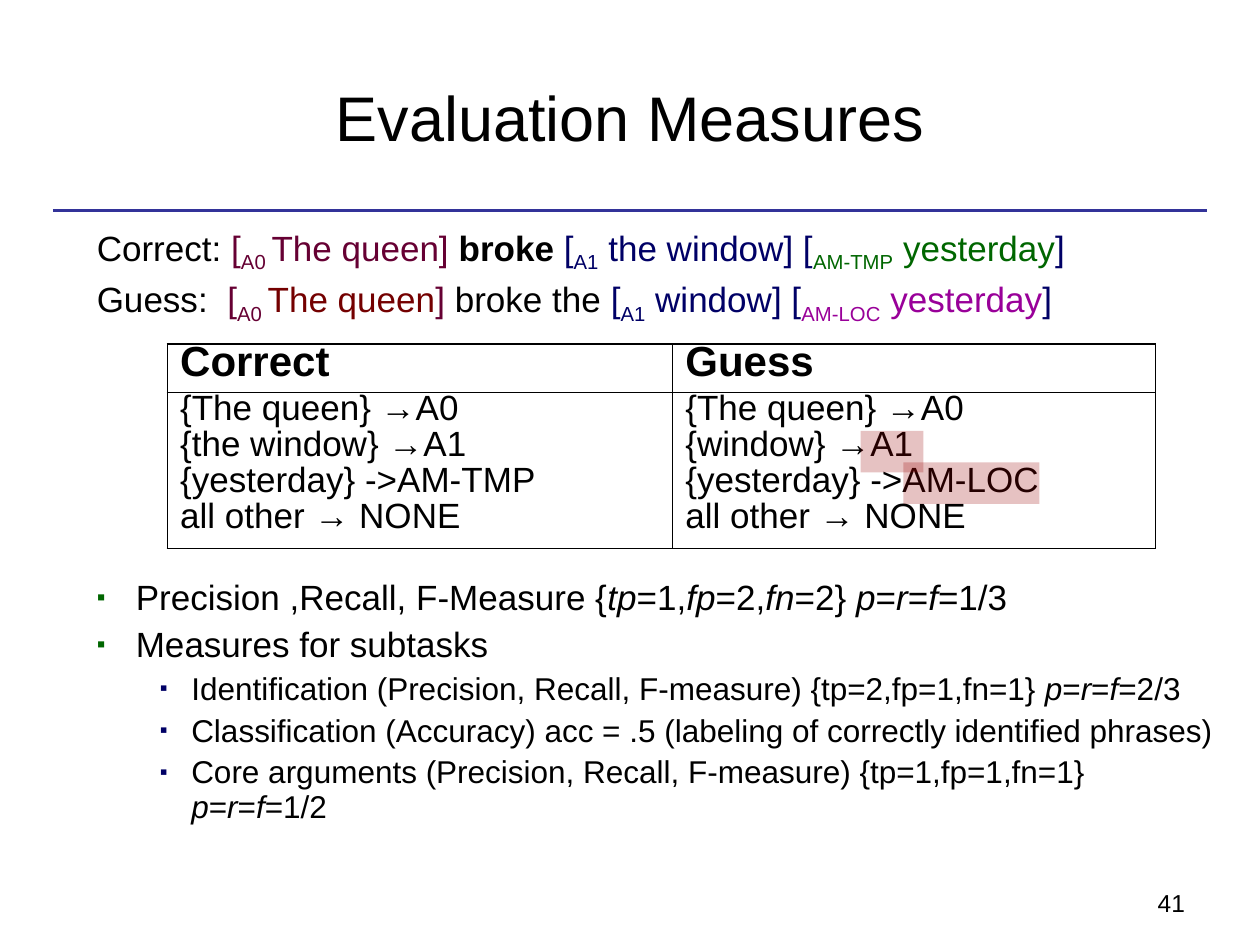
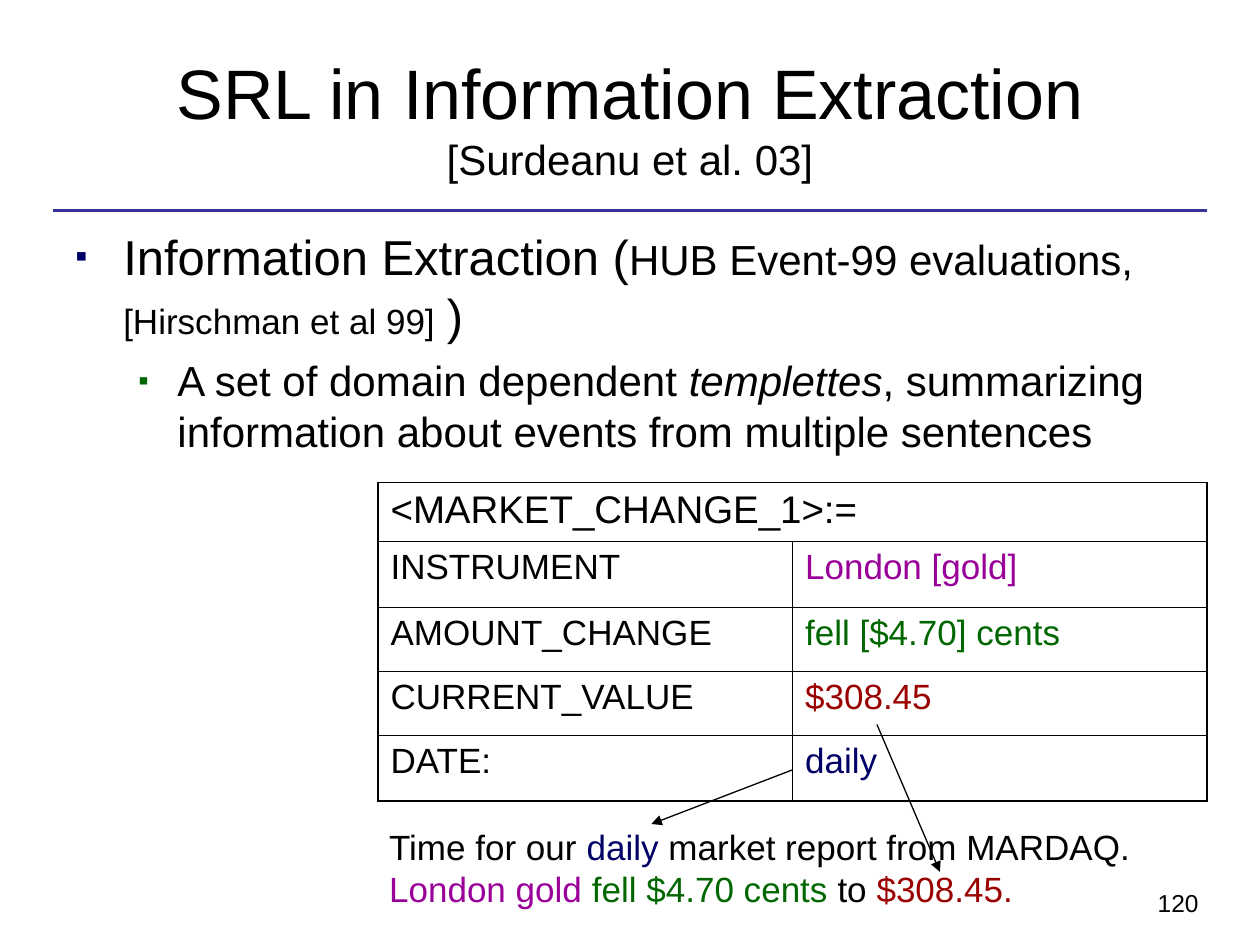
from itertools import cycle
from lxml.etree import SubElement as Sub
from pptx import Presentation as Deck
from pptx.dml.color import RGBColor as Rgb
from pptx.enum.shapes import MSO_CONNECTOR as Conn, MSO_SHAPE as Kind
from pptx.enum.text import MSO_ANCHOR as Anchor, PP_ALIGN as Align
from pptx.oxml.ns import qn
from pptx.util import Inches, Pt

HUES = {
    "black": "000000", "rule": "333399", "navy": "000066", "green": "006600",
    "wine": "660033", "brick": "740000", "red": "9A0000", "plum": "990099",
}
FACE = "Arial"


def tint(hue):
    return Rgb.from_string(HUES[hue])


def bit(text, hue="black", base=0, **look):
    return text, hue, base, look


def slant(*parts, **look):
    return [bit(text, italic=lean, **look)
            for text, lean in zip(parts, cycle((False, True)))]


def para(bits, size, mark=None, left=0, hang=0, **form):
    return {"bits": bits, "size": size, "mark": mark,
            "left": left, "hang": hang, "form": form}


def add_mark(props, hue):
    color = Sub(props, qn("a:buClr"))
    Sub(color, qn("a:srgbClr"), val=HUES[hue])
    Sub(props, qn("a:buSzPct"), val="70000")
    Sub(props, qn("a:buFont"), typeface=FACE)
    Sub(props, qn("a:buChar"), char="▪")


def write(frame, paras):
    for num, item in enumerate(paras):
        line = frame.add_paragraph() if num else frame.paragraphs[0]
        form = dict(item["form"])
        if not num:
            form["space_before"] = Pt(0)
        for name, value in form.items():
            setattr(line, name, value)
        props = line._p.get_or_add_pPr()
        props.set("marL", str(Inches(item["left"])))
        props.set("indent", str(Inches(-item["hang"])))
        if item["mark"]:
            add_mark(props, item["mark"])
        for text, hue, base, look in item["bits"]:
            run = line.add_run()
            run.text = text
            look = {"name": FACE, "size": Pt(item["size"]), **look}
            for name, value in look.items():
                setattr(run.font, name, value)
            run.font.color.rgb = tint(hue)
            if base:
                run.font._element.set("baseline", str(base * 1000))


def add_text(slide, area, paras):
    box = slide.shapes.add_textbox(*map(Inches, area))
    box.text_frame.word_wrap = True
    write(box.text_frame, paras)


def add_line(slide, start, end, hue="black", width=0.75, head=False):
    line = slide.shapes.add_connector(
        Conn.STRAIGHT, *map(Inches, (*start, *end)))
    line.line.color.rgb = tint(hue)
    line.line.width = Pt(width)
    if head:
        Sub(line.line._get_or_add_ln(), qn("a:tailEnd"), type="triangle")
    Sub(line._element.spPr, qn("a:effectLst"))


def add_glow(slide, area):
    box = slide.shapes.add_shape(Kind.RECTANGLE, *map(Inches, area))
    box.shadow.inherit = False
    box.line.fill.background()
    box.fill.solid()
    box.fill.fore_color.rgb = tint("red")
    color = box.fill._xPr.find(".//" + qn("a:srgbClr"))
    Sub(color, qn("a:alpha"), val="24000")


def edge(cell, sides):
    props = cell._tc.get_or_add_tcPr()
    for spot, (side, outer) in enumerate(sides.items()):
        line = Sub(props, qn("a:ln" + side), w=str(Pt(1.08 if outer else 0.45)))
        fill = Sub(line, qn("a:solidFill"))
        Sub(fill, qn("a:srgbClr"), val=HUES["black"])
        props.insert(spot, line)


def add_grid(slide, spot, cols, rows, cells, join=False):
    area = (*spot, sum(cols), sum(rows))
    grid = slide.shapes.add_table(
        len(rows), len(cols), *map(Inches, area)).table
    grid.first_row = grid.horz_banding = False
    for col, width in zip(grid.columns, cols):
        col.width = Inches(width)
    for row, height in zip(grid.rows, rows):
        row.height = Inches(height)
    if join:
        grid.cell(0, 0).merge(grid.cell(0, len(cols) - 1))
    for r in range(len(rows)):
        for c in range(len(cols)):
            cell = grid.cell(r, c)
            cell.fill.background()
            wide = cell.span_width if cell.is_merge_origin else 1
            sides = {"L": c == 0, "R": c + wide == len(cols),
                     "T": r == 0, "B": r == len(rows) - 1}
            if cell.is_spanned:
                del sides["L"]
            edge(cell, sides)
            if c < len(cells[r]):
                write(cell.text_frame, cells[r][c])


def add_page(deck, number, *lines):
    slide = deck.slides.add_slide(deck.slide_layouts[5])
    add_line(slide, (0.42, 1.67), (9.58, 1.67), "rule", 1.75)
    add_text(slide, (9.09, 7, 0.8, 0.34), [para([bit(number)], 14)])
    head = slide.shapes.title
    place = dict(zip(("left", "top", "width", "height"),
                     map(Inches, (0.5, 0.3, 9, 1.25))))
    for name, value in place.items():
        setattr(head, name, value)
    head.text_frame.word_wrap = True
    head.text_frame.vertical_anchor = Anchor.MIDDLE
    write(head.text_frame,
          [para([bit(text)], size, alignment=Align.CENTER, space_before=Pt(0))
           for text, size in lines])
    return slide


def score_page(deck):
    slide = add_page(deck, "41", ("Evaluation Measures", 36))
    tight = {"line_spacing": 0.9, "space_before": Pt(5)}
    right = [
        bit("Correct:"), bit(" [", "wine"), bit("A0 ", "wine", -25),
        bit("The queen] ", "wine"), bit("broke ", bold=True),
        bit("[", "navy"), bit("A1", "navy", -25),
        bit(" the window] [", "navy"), bit("AM-TMP", "green", -25),
        bit(" yesterday", "green"), bit("]", "navy"),
    ]
    guess = [
        bit("Guess:"), bit("  [", "wine"), bit("A0 ", "wine", -25),
        bit("The queen", "brick"), bit("]", "wine"), bit(" broke the"),
        bit(" [", "navy"), bit("A1", "navy", -25),
        bit(" window] [", "navy"), bit("AM-LOC", "plum", -25),
        bit(" yesterday", "plum"), bit("]", "navy"),
    ]
    add_text(slide, (0.17, 1.75, 9.67, 0.85),
             [para(bits, 20, left=0.81, hang=0.31, **tight)
              for bits in (right, guess)])

    main = [
        slant("Precision ,Recall, F-Measure {", "tp", "=1,", "fp", "=2,",
              "fn", "=2} ", "p", "=", "r", "=", "f", "=1/3"),
        slant("Measures for subtasks"),
    ]
    tasks = [
        slant("Identification (Precision, Recall, F-measure) "
              "{tp=2,fp=1,fn=1} ", "p", "=", "r", "=", "f", "=2/3"),
        slant("Classification (Accuracy) acc = .5 "
              "(labeling of correctly identified phrases)"),
        slant("Core arguments (Precision, Recall, F-measure) "
              "{tp=1,fp=1,fn=1} ", "p", "=", "r", "=", "f", "=1/2"),
    ]
    paras = [para(b, 20, "green", 0.81, 0.31, **tight) for b in main]
    tight["space_before"] = Pt(4.5)
    paras += [para(b, 18, "navy", 1.25, 0.25, **tight) for b in tasks]
    add_text(slide, (0.17, 4.56, 9.67, 2.3), paras)

    dense = {"line_spacing": 0.7, "space_before": Pt(5)}
    heads = [[para([bit(text, bold=True)], 24, **dense)]
             for text in ("Correct", "Guess")]
    labels = (
        ("{The queen} →A0", "{the window} →A1",
         "{yesterday} ->AM-TMP", "all other → NONE"),
        ("{The queen} →A0", "{window} →A1",
         "{yesterday} ->AM-LOC", "all other → NONE"),
    )
    lists = [[para([bit(text)], 20, **dense) for text in texts]
             for texts in labels]
    add_grid(slide, (1.33, 2.73), (4.01, 3.83), (0.38, 1.24), (heads, lists))
    for area in ((7.17, 3.67, 1.08, 0.33), (6.83, 3.42, 0.5, 0.33)):
        add_glow(slide, area)


def market_page(deck):
    slide = add_page(deck, "120", ("SRL in Information Extraction", 40),
                     ("[Surdeanu et al. 03]", 24))
    topic = [
        bit("Information Extraction (", size=Pt(28)),
        bit("HUB Event-99 evaluations, "),
        bit("[Hirschman et al 99]", size=Pt(20)),
        bit(" "), bit(")", size=Pt(28)),
    ]
    note = slant("A set of domain dependent ", "templettes",
                 ", summarizing information about events "
                 "from multiple sentences")
    add_text(slide, (0.5, 1.75, 8.92, 2), [
        para(topic, 24, "navy", 0.38, 0.38),
        para(note, 24, "green", 0.81, 0.31, space_before=Pt(6)),
    ])

    slots = (
        ("INSTRUMENT", "London [gold]", "plum"),
        ("AMOUNT_CHANGE", "fell [$4.70] cents", "green"),
        ("CURRENT_VALUE", "$308.45", "red"),
        ("DATE:", "daily", "navy"),
    )
    cells = [[[para([bit("<MARKET_CHANGE_1>:=")], 22)]]]
    cells += [[[para([bit(name)], 20)], [para([bit(value, hue)], 20)]]
              for name, value, hue in slots]
    add_grid(slide, (3, 3.83), (3.29, 3.29),
             (0.47, 0.52, 0.51, 0.51, 0.52), cells, join=True)

    add_text(slide, (2.99, 6.5, 6.3, 0.77), [
        para([bit("Time for our "), bit("daily", "navy"),
              bit(" market report from MARDAQ.")], 20),
        para([bit("London gold ", "plum"), bit("fell $4.70 cents", "green"),
              bit(" to "), bit("$308.45.", "red")], 20),
    ])
    add_line(slide, (6.29, 6.11), (5.17, 6.54), head=True)
    add_line(slide, (6.96, 5.75), (7.46, 6.92), head=True)


def main():
    deck = Deck()
    deck.slide_width, deck.slide_height = Inches(10), Inches(7.5)
    score_page(deck)
    market_page(deck)
    deck.save("out.pptx")


if __name__ == "__main__":
    main()
